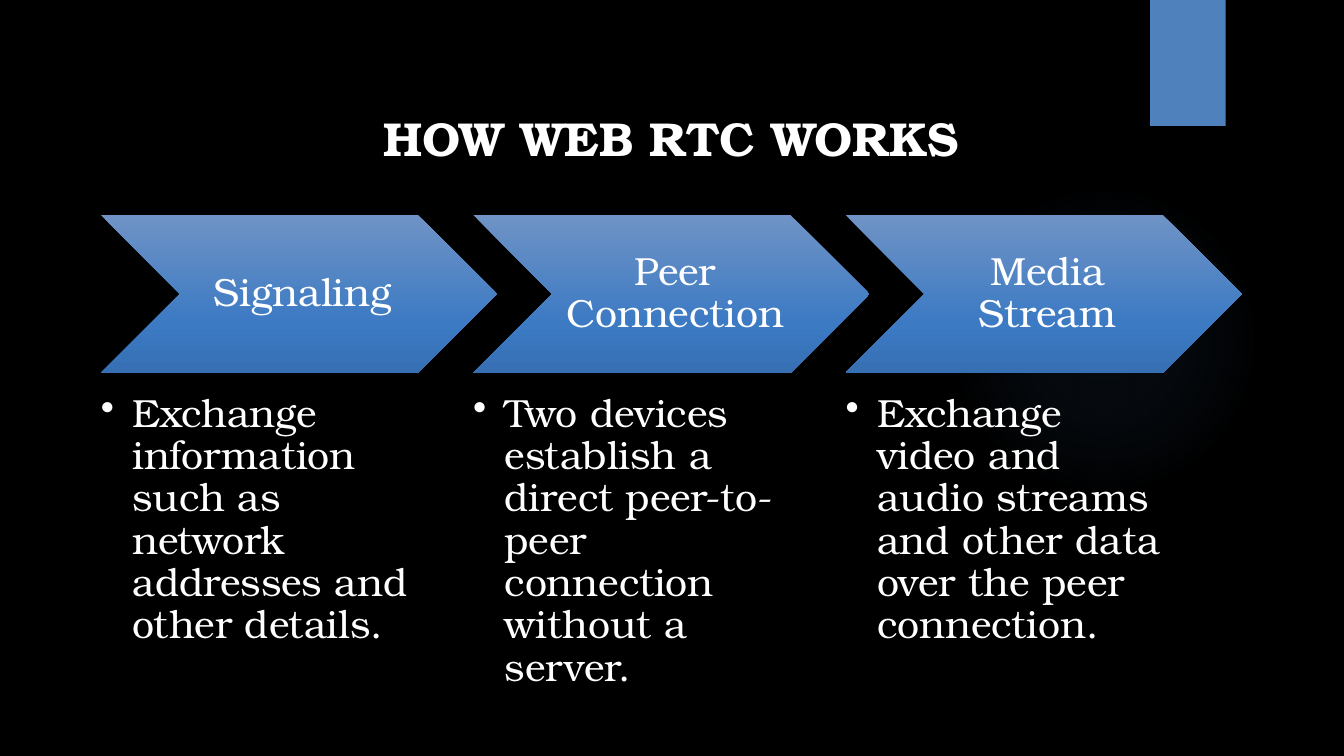
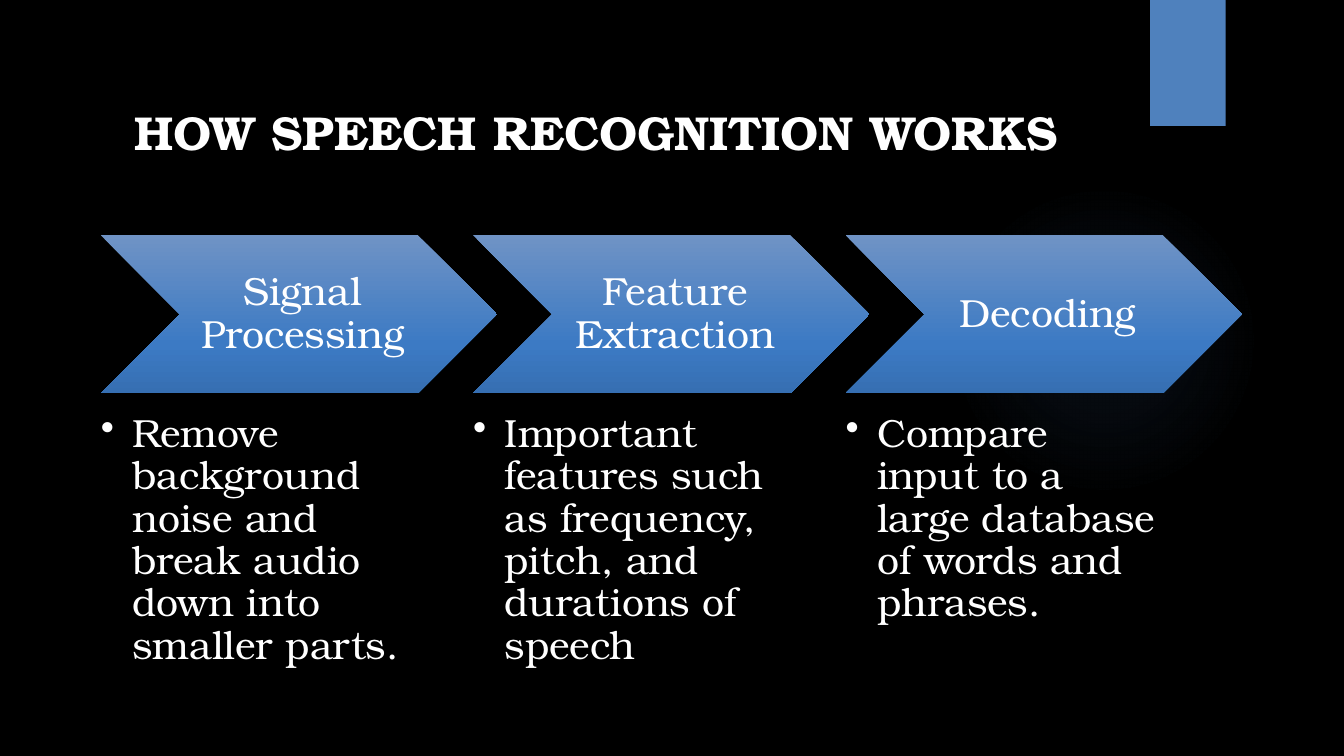
from pptx import Presentation
from pptx.dml.color import RGBColor
from pptx.enum.shapes import MSO_SHAPE
from pptx.enum.text import MSO_ANCHOR, PP_ALIGN
from pptx.oxml import parse_xml
from pptx.oxml.ns import nsdecls, qn
from pptx.util import Pt

CHEVRON = MSO_SHAPE.CHEVRON
OVAL = MSO_SHAPE.OVAL
RECTANGLE = MSO_SHAPE.RECTANGLE
TOP = MSO_ANCHOR.TOP
MIDDLE = MSO_ANCHOR.MIDDLE
LEFT = PP_ALIGN.LEFT
CENTER = PP_ALIGN.CENTER

FONT = "TeX Gyre Bonum"
BLACK = "000000"
WHITE = "FFFFFF"
BAND_BLUE = "4F81BD"
GLOW_BLUE = "558ED5"
GLOW_STOPS = [(0, GLOW_BLUE, 7), (36, GLOW_BLUE, 6), (69, GLOW_BLUE, 0)]
STEP_STOPS = [(0, "6F93C5", 100), (69, "3C7AC4", 100), (100, "366FB2", 100)]
LINEAR_DOWN = '<a:lin ang="5400000" scaled="0"/>'
RADIAL = ('<a:path path="circle">'
          '<a:fillToRect l="50000" t="50000" r="50000" b="50000"/></a:path>')

TITLE_SIZE = 34
BODY_SIZE = 28
STEP_LEFT = 72
STEP_PITCH = 266
STEP_WIDTH = 283
STEP_HEIGHT = 113
DETAIL_OFFSET = 127.5
DETAIL_WIDTH = 226
BULLET_INDENT = 22.5

SLIDES = [
    {
        "title": "HOW WEB RTC WORKS",
        "title_at": (72, 48.5),
        "steps_top": 153.5,
        "detail_height": 208,
        "steps": [
            ("Signaling", "Exchange information such as network addresses and other details."),
            ("Peer Connection", "Two devices establish a direct peer-to-peer connection without a server."),
            ("Media Stream", "Exchange video and audio streams and other data over the peer connection."),
        ],
    },
    {
        "title": "HOW SPEECH RECOGNITION WORKS",
        "title_at": (18.5, 44),
        "steps_top": 168,
        "detail_height": 178.5,
        "steps": [
            ("Signal Processing", "Remove background noise and break audio down into smaller parts."),
            ("Feature Extraction", "Important features such as frequency, pitch, and durations of speech"),
            ("Decoding", "Compare input to a large database of words and phrases."),
        ],
    },
]


def color(hex_string):
    return RGBColor.from_string(hex_string)


def points(*lengths):
    return [Pt(length) for length in lengths]


def add_plain_shape(slide, kind, box):
    shape = slide.shapes.add_shape(kind, *points(*box))
    shape.shadow.inherit = False
    shape.line.fill.background()
    return shape


def fill_gradient(shape, stops, direction):
    stop_xml = "".join(
        f'<a:gs pos="{position * 1000}"><a:srgbClr val="{hex_string}">'
        f'<a:alpha val="{opacity * 1000}"/></a:srgbClr></a:gs>'
        for position, hex_string, opacity in stops
    )
    gradient = parse_xml(
        f'<a:gradFill {nsdecls("a")} rotWithShape="1">'
        f'<a:gsLst>{stop_xml}</a:gsLst>{direction}</a:gradFill>'
    )
    shape.fill.gradient()
    properties = shape.element.spPr
    properties.replace(properties.find(qn("a:gradFill")), gradient)


def write_text(shape, text, size, align, anchor, margins, bold=False):
    frame = shape.text_frame
    frame.word_wrap = True
    frame.vertical_anchor = anchor
    (frame.margin_left, frame.margin_top,
     frame.margin_right, frame.margin_bottom) = points(*margins)
    paragraph = frame.paragraphs[0]
    paragraph.alignment = align
    paragraph.line_spacing = 0.9
    run = paragraph.add_run()
    run.text = text
    run.font.name = FONT
    run.font.size = Pt(size)
    run.font.bold = bold
    run.font.color.rgb = color(WHITE)
    return paragraph


def add_bullet(paragraph):
    properties = paragraph._p.get_or_add_pPr()
    properties.set("marL", str(Pt(BULLET_INDENT)))
    properties.set("indent", str(-Pt(BULLET_INDENT)))
    properties.append(parse_xml(f'<a:buChar {nsdecls("a")} char="•"/>'))


def add_backdrop(slide):
    background = slide.background.fill
    background.solid()
    background.fore_color.rgb = color(BLACK)
    glow = add_plain_shape(slide, OVAL, (677.5, 132, 222, 222))
    fill_gradient(glow, GLOW_STOPS, RADIAL)
    band = add_plain_shape(slide, RECTANGLE, (821.5, 0, 54, 90))
    band.fill.solid()
    band.fill.fore_color.rgb = color(BAND_BLUE)


def add_title(slide, text, position):
    title = slide.shapes.add_textbox(*points(*position, 815, 104.5))
    write_text(title, text, TITLE_SIZE, CENTER, MIDDLE, (7.2, 3.6, 7.2, 3.6), bold=True)


def add_step(slide, left, top, name, detail, detail_height):
    chevron = add_plain_shape(slide, CHEVRON, (left, top, STEP_WIDTH, STEP_HEIGHT))
    fill_gradient(chevron, STEP_STOPS, LINEAR_DOWN)
    write_text(chevron, name, BODY_SIZE, CENTER, MIDDLE, (8.5, 3, 3, 3))
    explanation = slide.shapes.add_textbox(
        *points(left, top + DETAIL_OFFSET, DETAIL_WIDTH, detail_height))
    add_bullet(write_text(explanation, detail, BODY_SIZE, LEFT, TOP, (0, 0, 0, 0)))


def main():
    deck = Presentation()
    deck.slide_width, deck.slide_height = points(960, 540)
    blank = deck.slide_layouts[6]
    for content in SLIDES:
        slide = deck.slides.add_slide(blank)
        add_backdrop(slide)
        add_title(slide, content["title"], content["title_at"])
        for index, (name, detail) in enumerate(content["steps"]):
            add_step(slide, STEP_LEFT + index * STEP_PITCH, content["steps_top"],
                     name, detail, content["detail_height"])
    deck.save("out.pptx")


if __name__ == "__main__":
    main()
